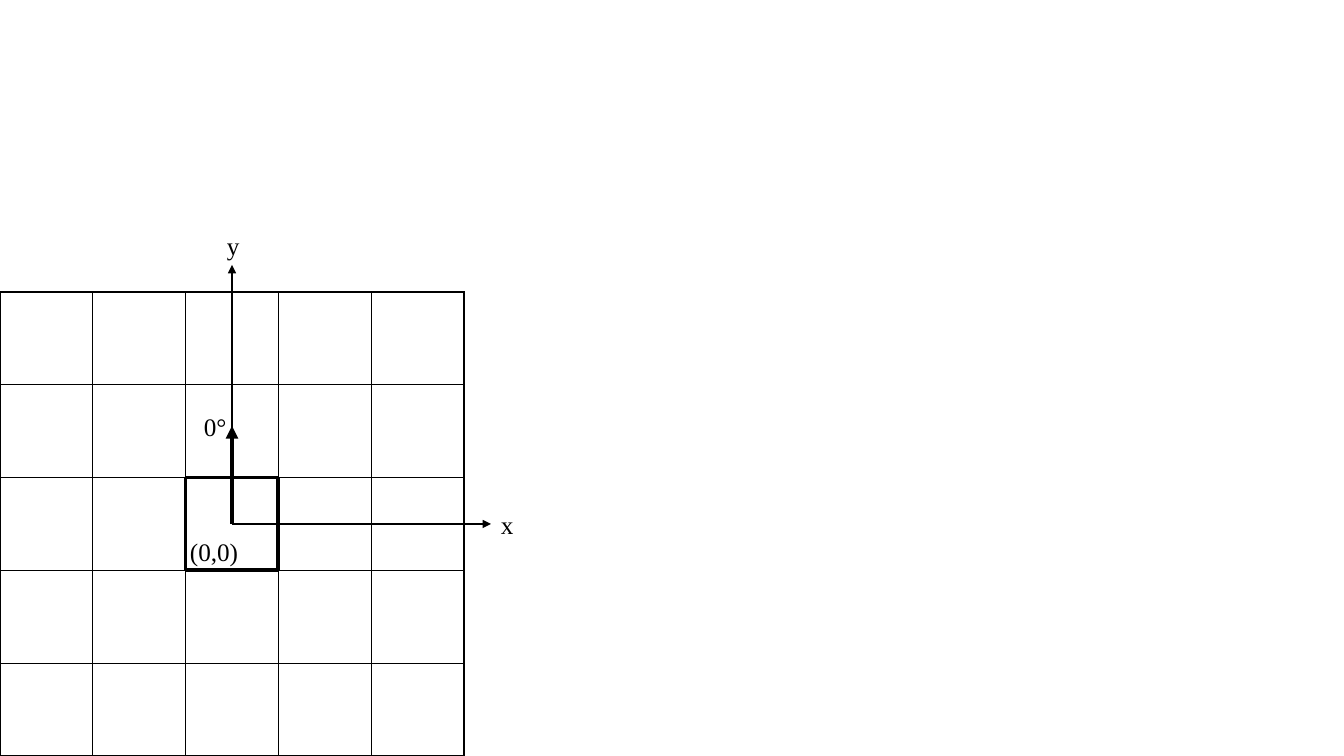
from dataclasses import dataclass
from lxml.etree import SubElement
from pptx import Presentation
from pptx.dml.color import RGBColor
from pptx.enum.shapes import MSO_CONNECTOR
from pptx.enum.text import MSO_AUTO_SIZE
from pptx.oxml.ns import qn
from pptx.util import Emu, Pt


@dataclass(frozen=True)
class Theme:
    ink: str = "000000"
    font: str = "Times New Roman"
    label_size: int = 18
    thin: int = 1
    bold: int = 3


THEME = Theme()
GRID_COUNT = 5
CENTRE_CELL = (GRID_COUNT // 2, GRID_COUNT // 2)
# Border tag and the neighbouring cell across that border
SIDES = {"a:lnL": (0, -1), "a:lnR": (0, 1), "a:lnT": (-1, 0), "a:lnB": (1, 0)}


def px(pixels):
    return Emu(round(pixels * 914400 / 100.8))


def apply_format(target, values):
    for name, value in values.items():
        setattr(target, name, value)


def add_border(cell, side, width):
    line = SubElement(cell._tc.get_or_add_tcPr(), qn(side), w=str(Pt(width)))
    fill = SubElement(line, qn("a:solidFill"))
    SubElement(fill, qn("a:srgbClr"), val=THEME.ink)


def add_arrow(slide, start, end, width):
    points = [px(value) for value in (*start, *end)]
    arrow = slide.shapes.add_connector(MSO_CONNECTOR.STRAIGHT, *points)
    arrow.line.width = Pt(width)
    arrow.line.color.rgb = RGBColor.from_string(THEME.ink)
    SubElement(arrow.line._get_or_add_ln(), qn("a:tailEnd"), type="triangle")
    SubElement(arrow._element.spPr, qn("a:effectLst"))


def add_label(slide, text, left, top, width, height=40):
    label = slide.shapes.add_textbox(px(left), px(top), px(width), px(height))
    apply_format(label.text_frame, {
        "text": text,
        "word_wrap": False,
        "auto_size": MSO_AUTO_SIZE.SHAPE_TO_FIT_TEXT,
    })
    font = label.text_frame.paragraphs[0].runs[0].font
    apply_format(font, {"name": THEME.font, "size": Pt(THEME.label_size)})
    font.color.rgb = RGBColor.from_string(THEME.ink)


def add_grid(slide, left, top, size):
    frame = slide.shapes.add_table(
        GRID_COUNT, GRID_COUNT, px(left), px(top), px(size), px(size))
    table = frame.table
    apply_format(table, {"first_row": False, "horz_banding": False})
    for index in range(GRID_COUNT):
        table.columns[index].width = px(size / GRID_COUNT)
        table.rows[index].height = px(size / GRID_COUNT)

    # Every edge that touches the centre cell is bold
    for row in range(GRID_COUNT):
        for column in range(GRID_COUNT):
            cell = table.cell(row, column)
            for side, (down, across) in SIDES.items():
                touching = ((row, column), (row + down, column + across))
                is_bold = CENTRE_CELL in touching
                add_border(cell, side, THEME.bold if is_bold else THEME.thin)
            cell.fill.background()


def add_coordinate_system(slide, left, top, size):
    add_grid(slide, left, top, size)

    # Axes and heading start in the middle of the grid
    origin_x, origin_y = left + size / 2, top + size / 2
    axis_length, heading_length = 259, 98
    for across, up, width in (
        (0, axis_length, THEME.thin),
        (axis_length, 0, THEME.thin),
        (0, heading_length, THEME.bold),
    ):
        end = (origin_x + across, origin_y - up)
        add_arrow(slide, (origin_x, origin_y), end, width)

    # Labels, placed from the corner of the grid
    for text, across, down, width in (
        ("(0,0)", 180, 239, 70),
        ("y", 217, -67, 33),
        ("x", 491, 212, 33),
        ("0°", 194, 114, 43),
    ):
        add_label(slide, text, left + across, top + down, width)


presentation = Presentation()
apply_format(presentation, {"slide_width": px(1344), "slide_height": px(756)})
slide = presentation.slides.add_slide(presentation.slide_layouts[6])
add_coordinate_system(slide, left=0, top=292, size=464)
presentation.save("out.pptx")
